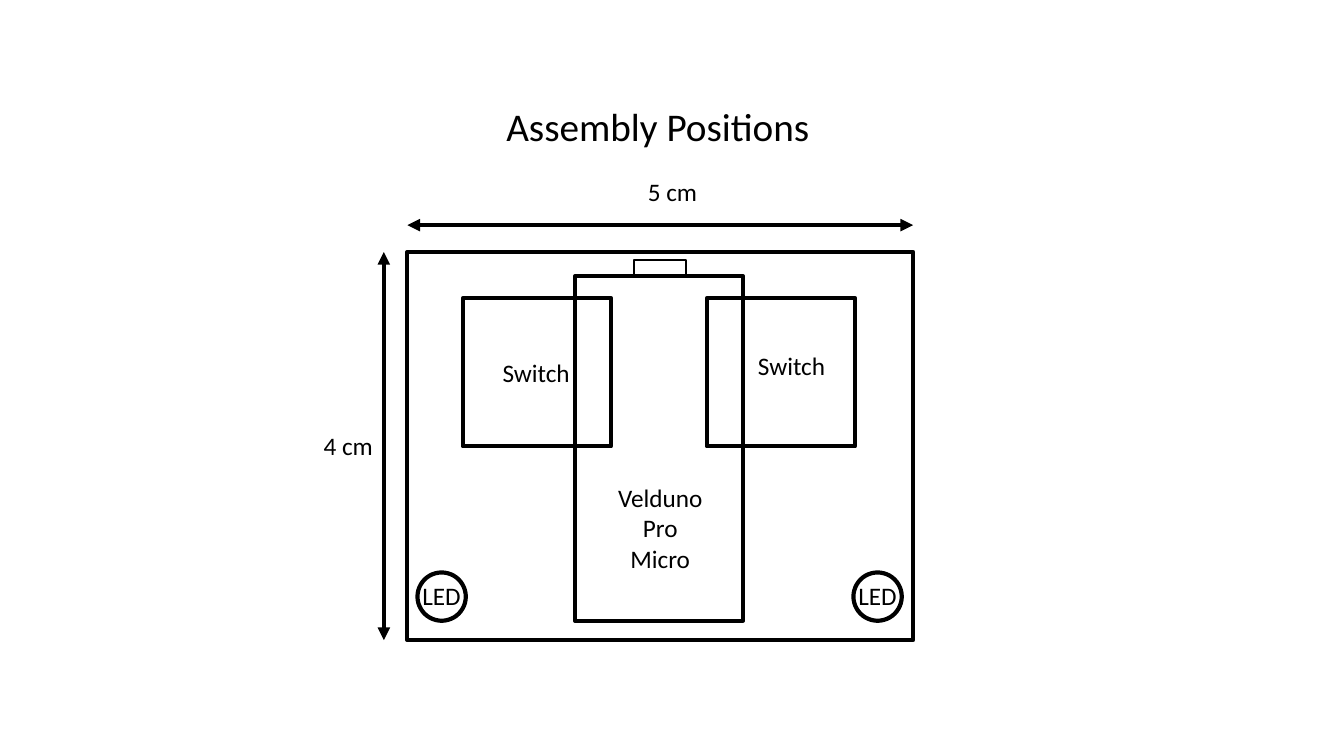
from dataclasses import dataclass

from lxml.etree import SubElement
from pptx import Presentation
from pptx.dml.color import RGBColor
from pptx.enum.shapes import MSO_CONNECTOR, MSO_SHAPE
from pptx.enum.text import MSO_AUTO_SIZE, PP_ALIGN
from pptx.oxml.ns import qn
from pptx.util import Inches, Pt


@dataclass(frozen=True)
class Theme:
    ink: RGBColor = RGBColor(0, 0, 0)
    font: str = "Calibri"
    title_size: float = 28
    label_size: float = 18
    thick: float = 3
    thin: float = 1.5


THEME = Theme()
SLIDE_WIDTH, SLIDE_HEIGHT = Inches(13.33), Inches(7.5)
COLUMNS, ROWS = 160, 90
LABEL_ROWS = 4.8


def grid(left, top, *size):
    """Turn columns and rows of the slide grid into lengths."""
    steps = (SLIDE_WIDTH / COLUMNS, SLIDE_HEIGHT / ROWS) * 2
    return [round(count * step) for count, step in zip((left, top, *size), steps)]


def draw_outline(shapes, kind, box, weight=THEME.thick):
    outline = shapes.add_shape(kind, *grid(*box))
    outline.shadow.inherit = False
    outline.fill.background()
    outline.line.color.rgb = THEME.ink
    outline.line.width = Pt(weight)


def draw_dimension(shapes, start, end):
    """Draw a measuring line with an arrowhead at each end."""
    dimension = shapes.add_connector(MSO_CONNECTOR.STRAIGHT, *grid(*start), *grid(*end))
    dimension.line.color.rgb = THEME.ink
    dimension.line.width = Pt(THEME.thick)
    stroke = dimension.line._get_or_add_ln()
    for arrowhead in ("a:headEnd", "a:tailEnd"):
        SubElement(stroke, qn(arrowhead), type="triangle")
    SubElement(dimension._element.spPr, qn("a:effectLst"))


def write(shapes, wording, box, size=THEME.label_size, wrap=False, align=PP_ALIGN.LEFT):
    frame = shapes.add_textbox(*grid(*box)).text_frame
    frame.word_wrap = wrap
    frame.auto_size = MSO_AUTO_SIZE.SHAPE_TO_FIT_TEXT
    paragraph = frame.paragraphs[0]
    paragraph.alignment = align
    run = paragraph.add_run()
    run.text = wording
    run.font.name = THEME.font
    run.font.size = Pt(size)
    run.font.color.rgb = THEME.ink


def draw_board(shapes):
    left, top, width, height = board = (48.5, 30, 60.2, 46.2)
    right, bottom = left + width, top + height
    draw_outline(shapes, MSO_SHAPE.RECTANGLE, board)
    draw_dimension(shapes, (left, 26.8), (right, 26.8))
    draw_dimension(shapes, (45.7, top), (45.7, bottom))
    write(shapes, "5 cm", (75.95, 20.4, 8.4, LABEL_ROWS))
    write(shapes, "4 cm", (37.35, 50.65, 8.4, LABEL_ROWS))


def draw_switch(shapes, left, label_left, label_top):
    draw_outline(shapes, MSO_SHAPE.RECTANGLE, (left, 35.5, 17.65, 17.65))
    write(shapes, "Switch", (label_left, label_top, 10.55, LABEL_ROWS))


def draw_controller(shapes):
    draw_outline(shapes, MSO_SHAPE.RECTANGLE, (68.45, 32.9, 20, 41))
    draw_outline(shapes, MSO_SHAPE.RECTANGLE, (75.5, 30.95, 6.2, 1.95), THEME.thin)
    write(shapes, "Velduno Pro Micro", (71.75, 56.85, 13.7, 12.1),
          wrap=True, align=PP_ALIGN.CENTER)


def draw_led(shapes, left):
    draw_outline(shapes, MSO_SHAPE.OVAL, (left, 68.15, 5.75, 5.75))
    write(shapes, "LED", (left - 0.6, 68.55, 7.1, LABEL_ROWS))


def main():
    deck = Presentation()
    deck.slide_width, deck.slide_height = SLIDE_WIDTH, SLIDE_HEIGHT
    slide = deck.slides.add_slide(deck.slide_layouts[6])
    assembly = slide.shapes.add_group_shape().shapes

    draw_board(assembly)
    draw_switch(assembly, 55.1, label_left=58.65, label_top=41.9)
    draw_switch(assembly, 84.15, label_left=89.05, label_top=41.15)
    draw_controller(assembly)
    write(assembly, "Assembly Positions", (59.1, 11.65, 38.9, 6.85), size=THEME.title_size)
    for led_left in (49.7, 101.6):
        draw_led(assembly, led_left)

    deck.save("out.pptx")


if __name__ == "__main__":
    main()
